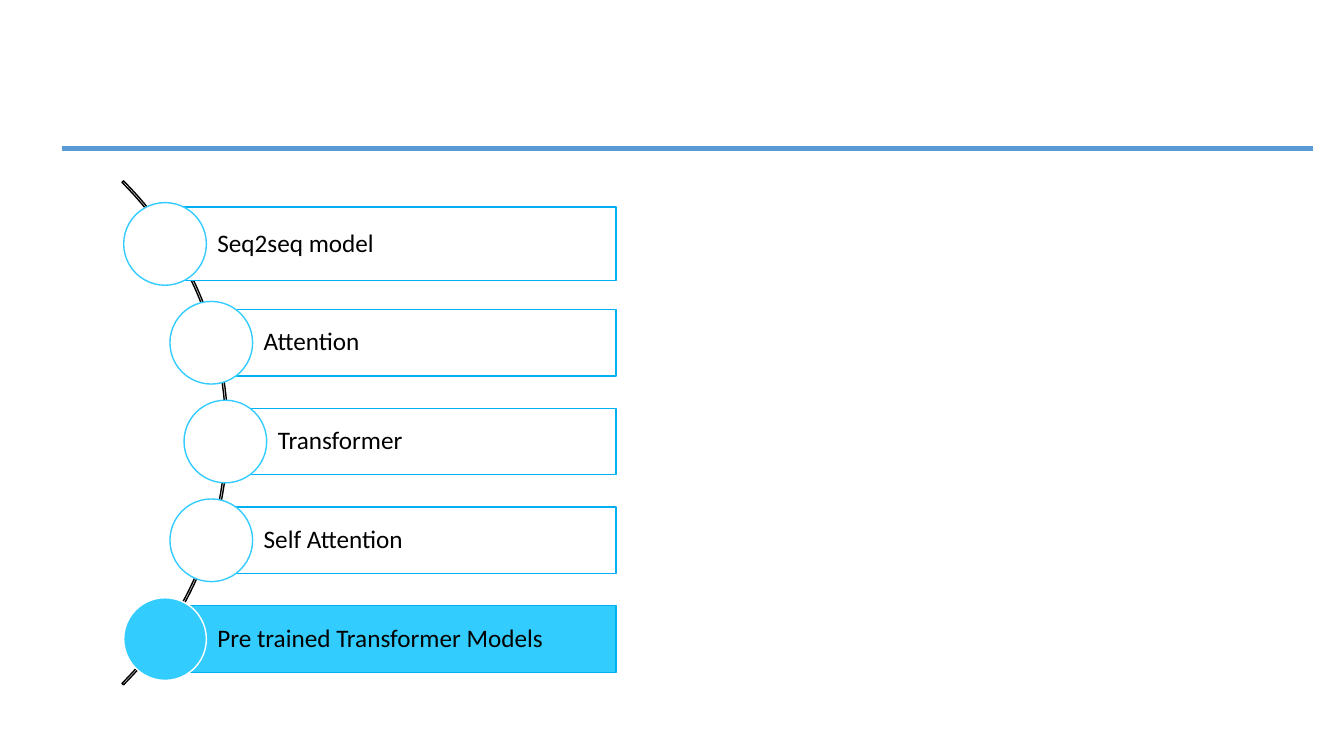
from math import sqrt

from pptx import Presentation
from pptx.dml.color import RGBColor
from pptx.enum.shapes import MSO_SHAPE
from pptx.enum.text import MSO_ANCHOR, PP_ALIGN
from pptx.util import Inches, Pt

RECT, OVAL, ARC = MSO_SHAPE.RECTANGLE, MSO_SHAPE.OVAL, MSO_SHAPE.BLOCK_ARC
MIDDLE, LEFT = MSO_ANCHOR.MIDDLE, PP_ALIGN.LEFT

# Content: topic, bar height, current topic or not
TOPICS = [
    ("Seq2seq model", 0.73, False),
    ("Attention", 0.66, False),
    ("Transformer", 0.66, False),
    ("Self Attention", 0.66, False),
    ("Pre trained Transformer Models", 0.66, True),
]


class Theme:
    white = RGBColor(0xFF, 0xFF, 0xFF)
    black = RGBColor(0x00, 0x00, 0x00)
    rule = RGBColor(0x5B, 0x9B, 0xD5)
    bar_line = RGBColor(0x00, 0xB0, 0xF0)
    accent = RGBColor(0x33, 0xCC, 0xFF)
    font = "Calibri"
    size = Pt(18)
    line = Pt(1)


# Geometry in inches
ARC_LEFT, ARC_TOP, ARC_SIZE = -4.81, 0.76, 7.07
TRACK_X, TRACK_RADIUS = ARC_LEFT + ARC_SIZE / 2, 3.51
MID_Y, STEP = 4.38, 0.98
BAR_RIGHT, DOT = 6.11, 0.82


def add_shape(s, kind, x, y, w, h, fill, line):
    sp = s.shapes.add_shape(kind, Inches(x), Inches(y), Inches(w), Inches(h))
    sp.shadow.inherit = False
    if fill is None:
        sp.fill.background()
    else:
        sp.fill.solid()
        sp.fill.fore_color.rgb = fill
    sp.line.color.rgb = line
    sp.line.width = Theme.line
    return sp


def add_label(sp, text):
    tf = sp.text_frame
    tf.word_wrap = True
    tf.vertical_anchor = MIDDLE
    tf.margin_left = Inches(0.52)
    tf.margin_right = tf.margin_top = tf.margin_bottom = Inches(0.05)
    p = tf.paragraphs[0]
    p.alignment = LEFT
    p.line_spacing = 0.9
    r = p.add_run()
    r.text = text
    r.font.name = Theme.font
    r.font.size = Theme.size
    r.font.color.rgb = Theme.black


def main():
    prs = Presentation()
    prs.slide_width, prs.slide_height = Inches(13.33), Inches(7.5)
    s = prs.slides.add_slide(prs.slide_layouts[6])

    # Header rule
    add_shape(s, RECT, 0.61, 1.44, 12.42, 0.07, Theme.rule, Theme.white)

    # Arc behind the topics, from 315 to 45 degrees
    arc = add_shape(s, ARC, ARC_LEFT, ARC_TOP, ARC_SIZE, ARC_SIZE, None, Theme.black)
    for i, value in enumerate((189, 27, 0.003)):
        arc.adjustments[i] = value

    # Topic bars, each starting at the centre of a circle on the arc
    for i, (text, height, current) in enumerate(TOPICS):
        dy = (i - (len(TOPICS) - 1) / 2) * STEP
        x, y = TRACK_X + sqrt(TRACK_RADIUS ** 2 - dy ** 2), MID_Y + dy
        fill = Theme.accent if current else Theme.white
        dot_line = Theme.white if current else Theme.accent
        bar = add_shape(s, RECT, x, y - height / 2, BAR_RIGHT - x, height,
                        fill, Theme.bar_line)
        add_label(bar, text)
        add_shape(s, OVAL, x - DOT / 2, y - DOT / 2, DOT, DOT, fill, dot_line)

    prs.save("out.pptx")


if __name__ == "__main__":
    main()
